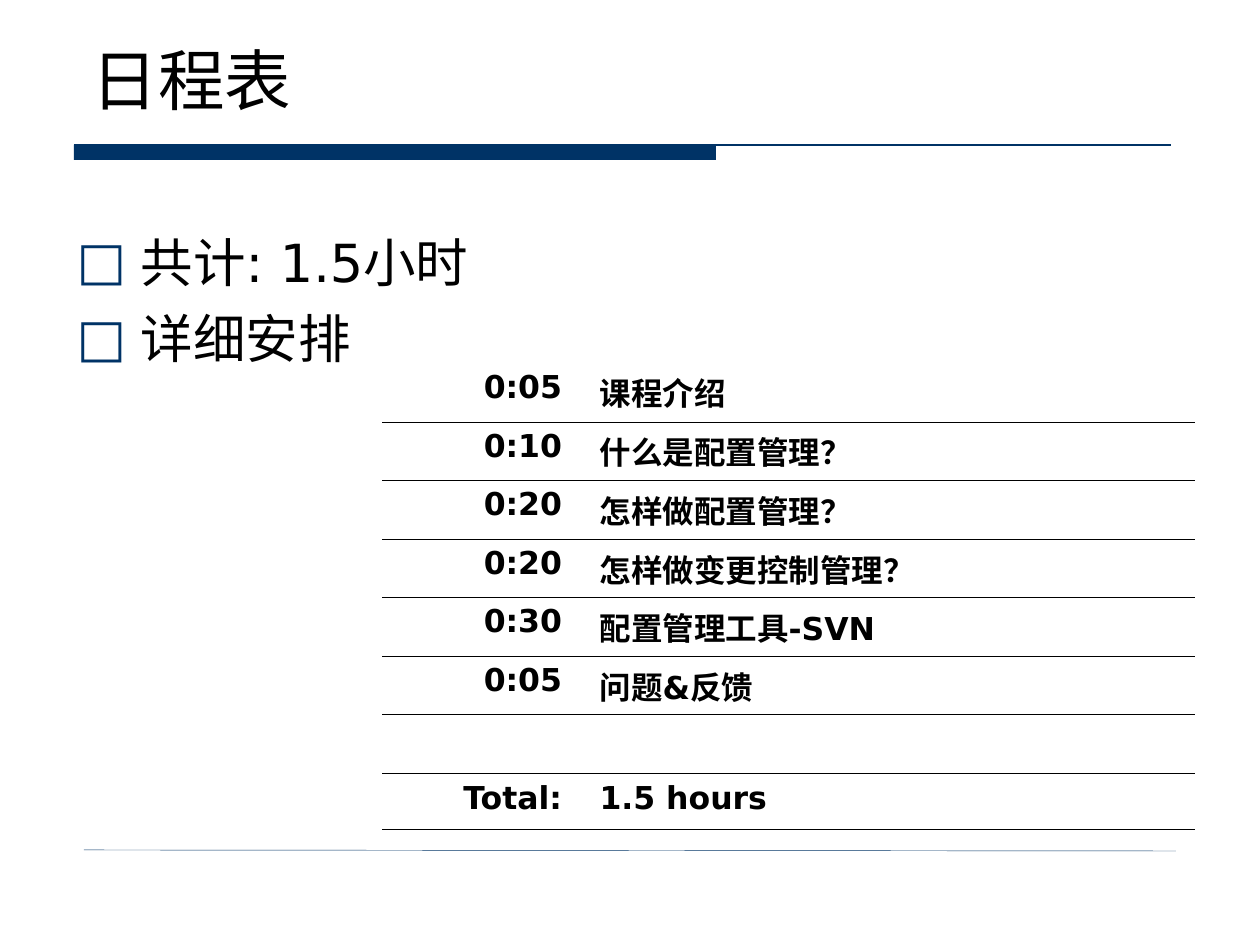
from dataclasses import dataclass

from lxml.etree import SubElement
from pptx import Presentation
from pptx.dml.color import RGBColor
from pptx.enum.shapes import MSO_CONNECTOR, MSO_SHAPE
from pptx.enum.text import MSO_ANCHOR, MSO_AUTO_SIZE, PP_ALIGN
from pptx.oxml import parse_xml
from pptx.oxml.ns import nsdecls, qn
from pptx.util import Emu, Inches, Pt

EMU_PER_PX = 914400 / 126
FONT = "DejaVu Sans"
COLORS = {"navy": "003366", "text": "000000"}
NO_STYLE = "{2D5ABB26-0587-4C30-8999-92F81FD0307C}"


@dataclass(frozen=True)
class Rule:
    x1: int
    y1: int
    x2: int
    y2: int
    width: float


@dataclass(frozen=True)
class AgendaItem:
    time: str
    topic: str


RULES = [Rule(74, 145, 1171, 145, 0.75), Rule(84, 850, 1176, 851, 0.25)]
BULLETS = ["共计: 1.5小时", "详细安排"]
AGENDA = [
    AgendaItem("0:05", "课程介绍"),
    AgendaItem("0:10", "什么是配置管理？"),
    AgendaItem("0:20", "怎样做配置管理？"),
    AgendaItem("0:20", "怎样做变更控制管理？"),
    AgendaItem("0:30", "配置管理工具-SVN"),
    AgendaItem("0:05", "问题&反馈"),
    AgendaItem("", ""),
    AgendaItem("Total:", "1.5 hours"),
]
TABLE_LEFT, TABLE_TOP, TABLE_BOTTOM = 382, 363, 829
COLUMN_WIDTHS = (205, 608)


def px(value: int) -> Emu:
    return Emu(round(value * EMU_PER_PX))


def color(name: str) -> RGBColor:
    return RGBColor.from_string(COLORS[name])


def place(shape, left: int, top: int, width: int, height: int) -> None:
    shape.left, shape.top = px(left), px(top)
    shape.width, shape.height = px(width), px(height)


def style(paragraph, size: int, bold: bool = False, align=PP_ALIGN.LEFT) -> None:
    paragraph.alignment = align
    paragraph.space_before = Pt(0)
    font = paragraph.font
    font.name, font.size, font.bold = FONT, Pt(size), bold
    font.color.rgb = color("text")


def add_rule(slide, rule: Rule) -> None:
    connector = slide.shapes.add_connector(
        MSO_CONNECTOR.STRAIGHT, px(rule.x1), px(rule.y1), px(rule.x2), px(rule.y2))
    connector.line.color.rgb = color("navy")
    connector.line.width = Pt(rule.width)
    SubElement(connector._element.spPr, qn("a:effectLst"))


def add_bullet(paragraph) -> None:
    properties = paragraph._p.get_or_add_pPr()
    properties.set("marL", str(px(64)))
    properties.set("indent", str(px(-64)))
    bullet_color = SubElement(properties, qn("a:buClr"))
    SubElement(bullet_color, qn("a:srgbClr"), val=COLORS["navy"])
    SubElement(properties, qn("a:buFont"), typeface=FONT)
    SubElement(properties, qn("a:buChar"), char="□")


def add_bottom_border(cell) -> None:
    border = parse_xml(
        f'<a:lnB {nsdecls("a")} w="{Pt(0.45)}"><a:solidFill>'
        f'<a:srgbClr val="{COLORS["text"]}"/></a:solidFill></a:lnB>')
    cell._tc.get_or_add_tcPr().insert(0, border)


def fill_cell(cell, text: str, align) -> None:
    cell.margin_right = px(25)
    cell.fill.background()
    add_bottom_border(cell)
    paragraph = cell.text_frame.paragraphs[0]
    paragraph.text = text
    style(paragraph, 18, bold=True, align=align)


def add_agenda(slide) -> None:
    frame = slide.shapes.add_table(
        len(AGENDA), len(COLUMN_WIDTHS), px(TABLE_LEFT), px(TABLE_TOP),
        px(sum(COLUMN_WIDTHS)), px(TABLE_BOTTOM - TABLE_TOP))
    table = frame.table
    table.first_row = table.horz_banding = False
    table._tbl.tblPr.find(qn("a:tableStyleId")).text = NO_STYLE
    for column, width in zip(table.columns, COLUMN_WIDTHS):
        column.width = px(width)
    # Rows are 58.5 px apart; the last one is a little shorter
    edges = [TABLE_TOP + (117 * i + 1) // 2 for i in range(len(AGENDA))]
    edges.append(TABLE_BOTTOM)
    for index, item in enumerate(AGENDA):
        table.rows[index].height = px(edges[index + 1] - edges[index])
        fill_cell(table.cell(index, 0), item.time, PP_ALIGN.RIGHT)
        fill_cell(table.cell(index, 1), item.topic, PP_ALIGN.LEFT)


def main() -> None:
    presentation = Presentation()
    presentation.slide_width, presentation.slide_height = Inches(10), Inches(7.5)
    slide = presentation.slides.add_slide(presentation.slide_layouts[1])

    # Header bar and thin rules
    bar = slide.shapes.add_shape(
        MSO_SHAPE.RECTANGLE, px(74), px(145), px(642), px(15))
    bar.shadow.inherit = False
    bar.fill.solid()
    bar.fill.fore_color.rgb = color("navy")
    bar.line.fill.background()
    for rule in RULES:
        add_rule(slide, rule)

    # Title
    title = slide.shapes.title
    place(title, 79, 42, 1102, 83)
    title.text_frame.text = "日程表"
    title.text_frame.auto_size = MSO_AUTO_SIZE.NONE
    title.text_frame.vertical_anchor = MSO_ANCHOR.BOTTOM
    style(title.text_frame.paragraphs[0], 38)

    # Bullet list
    body = slide.placeholders[1]
    place(body, 64, 224, 1102, 161)
    body.text_frame.text = "\n".join(BULLETS)
    body.text_frame.auto_size = MSO_AUTO_SIZE.NONE
    for index, paragraph in enumerate(body.text_frame.paragraphs):
        add_bullet(paragraph)
        style(paragraph, 30)
        paragraph.space_before = Pt(7.5 if index else 0)

    # Agenda table
    add_agenda(slide)
    presentation.save("out.pptx")


if __name__ == "__main__":
    main()
